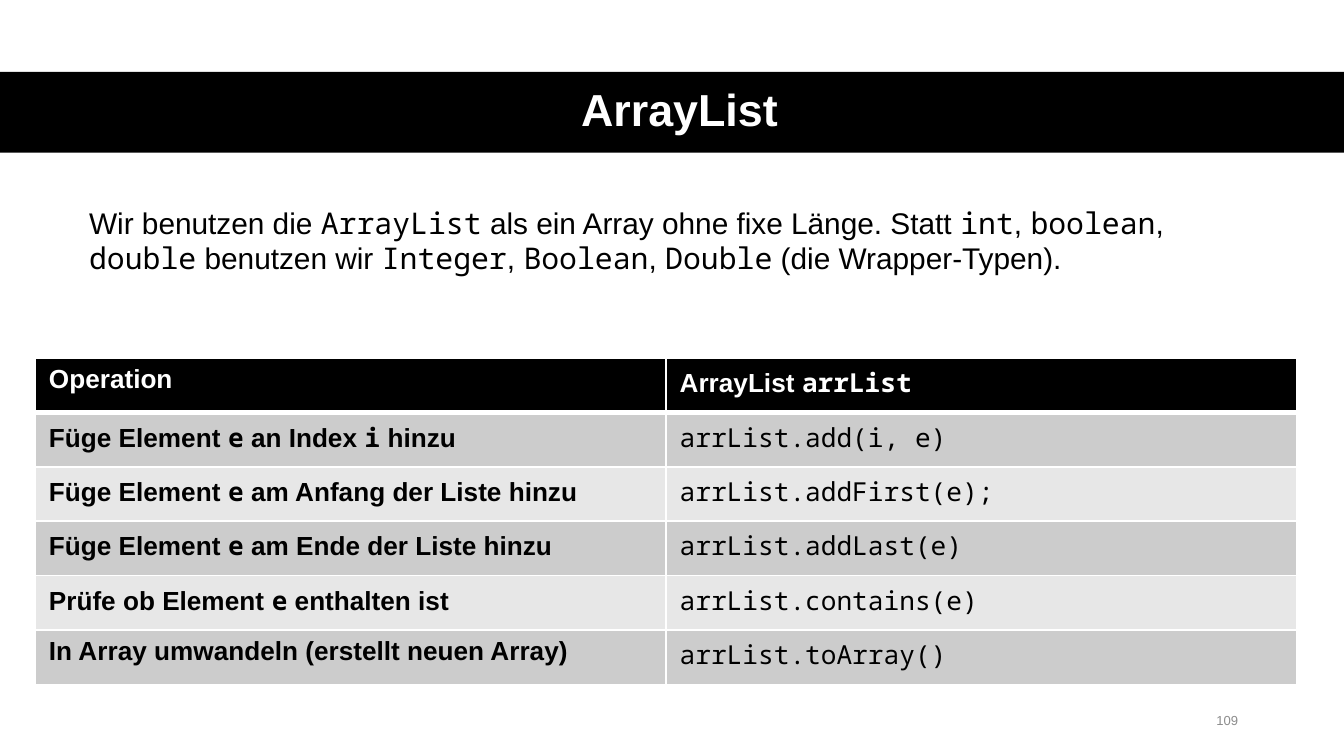
import pptx
import pptx.dml.color
import pptx.enum.shapes
import pptx.enum.text
import pptx.oxml
import pptx.oxml.ns
import pptx.util

THEME = {
    "sans": "Arial", "mono": "Noto Sans Mono",
    "black": "000000", "white": "FFFFFF", "grey": "8C8C8C",
    "bands": ("E7E7E7", "CCCCCC"),
    "title": 24, "body": 16, "table": 14, "number": 7,
}
RGB = pptx.dml.color.RGBColor.from_string
ALIGN = pptx.enum.text.PP_ALIGN
MIDDLE = pptx.enum.text.MSO_ANCHOR.MIDDLE


def grid(x, y, w, h):
    """Turn percentages of the slide's width and height into lengths."""
    return [int(v * side / 100) for v, side in
            zip((x, y, w, h), (prs.slide_width, prs.slide_height) * 2)]


def write(p, text, size, color, bold=False):
    """Fill a paragraph; parts between backticks are set as code."""
    for i, part in enumerate(text.split("`")):
        if part:
            r = p.add_run()
            r.text = part
            r.font.name = THEME["mono" if i % 2 else "sans"]
            r.font.size = pptx.util.Pt(THEME[size])
            r.font.bold = bold
            r.font.color.rgb = RGB(THEME[color])


# Widescreen slide, 16:9
prs = pptx.Presentation()
prs.slide_width = pptx.util.Inches(10)
prs.slide_height = prs.slide_width * 9 // 16
s = prs.slides.add_slide(prs.slide_layouts[5])

# Title on a black band
title = s.shapes.title
title.left, title.top, title.width, title.height = grid(4.55, 9.45, 92, 10.8)
tf = title.text_frame
tf.vertical_anchor = MIDDLE
p = tf.paragraphs[0]
p.alignment = ALIGN.CENTER
p.line_spacing = 0.9
write(p, "ArrayList", "title", "white", True)

band = s.shapes.add_shape(pptx.enum.shapes.MSO_SHAPE.RECTANGLE,
                          *grid(0, 9.5, 100, 10.7))
band.shadow.inherit = False
band.fill.solid()
band.fill.fore_color.rgb = RGB(THEME["black"])
band.line.fill.background()
title.element.addprevious(band.element)

# Introduction
tf = s.shapes.add_textbox(*grid(5.65, 26.15, 88.7, 11.4)).text_frame
tf.word_wrap = True
write(tf.paragraphs[0],
      "Wir benutzen die `ArrayList` als ein Array ohne fixe Länge. Statt `int`, "
      "`boolean`, `double` benutzen wir `Integer`, `Boolean`, `Double` "
      "(die Wrapper-Typen).", "body", "black")

# Table of operations
rows = [
    ("Operation", "ArrayList `arrList`"),
    ("Füge Element `e` an Index `i` hinzu", "`arrList.add(i, e)`"),
    ("Füge Element `e` am Anfang der Liste hinzu", "`arrList.addFirst(e);`"),
    ("Füge Element `e` am Ende der Liste hinzu", "`arrList.addLast(e)`"),
    ("Prüfe ob Element `e` enthalten ist", "`arrList.contains(e)`"),
    ("In Array umwandeln (erstellt neuen Array)", "`arrList.toArray()`"),
]
table = s.shapes.add_table(len(rows), 2, *grid(2.64, 47.35, 93.86, 43.2)).table
for i, row in enumerate(rows):
    header = i == 0
    for j, text in enumerate(row):
        cell = table.cell(i, j)
        write(cell.text_frame.paragraphs[0], text, "table",
              "white" if header else "black", header or j == 0)
        # White rules, with a thicker one below the header
        tcPr = cell._tc.get_or_add_tcPr()
        for side in "LRTB":
            thick = (header and side == "B") or (i == 1 and side == "T")
            tcPr.append(pptx.oxml.parse_xml(
                f'<a:ln{side} {pptx.oxml.ns.nsdecls("a")} '
                f'w="{pptx.util.Pt(3 if thick else 1)}"><a:solidFill>'
                f'<a:srgbClr val="{THEME["white"]}"/></a:solidFill></a:ln{side}>'))
        cell.fill.solid()
        cell.fill.fore_color.rgb = RGB(
            THEME["black"] if header else THEME["bands"][i % 2])

# Slide number
tf = s.shapes.add_textbox(*grid(70.6, 92.7, 22.5, 5.35)).text_frame
tf.word_wrap = True
tf.vertical_anchor = MIDDLE
p = tf.paragraphs[0]
p.alignment = ALIGN.RIGHT
p.line_spacing = 0.9
p.space_after = pptx.util.Pt(6)
write(p, "109", "number", "grey")

prs.save("out.pptx")
